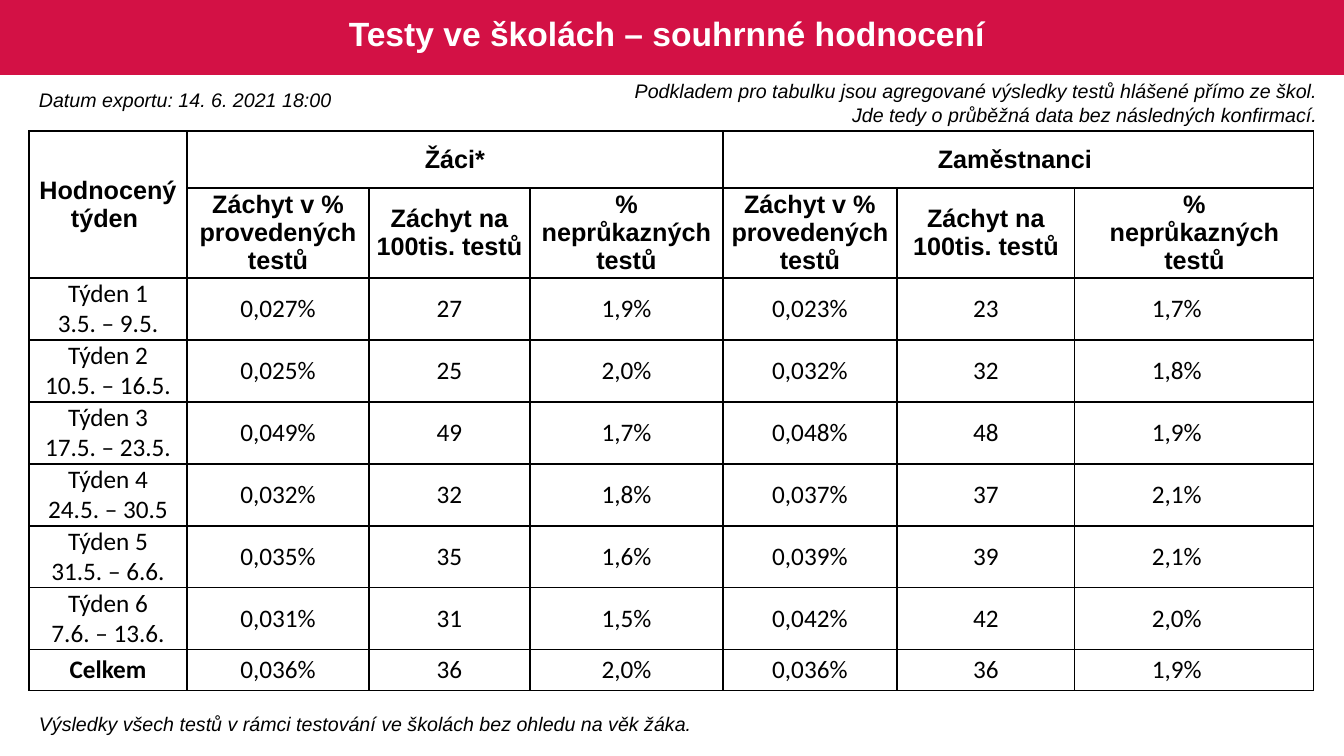
from dataclasses import dataclass

from lxml import etree
from pptx import Presentation, util as u
from pptx.dml.color import RGBColor
from pptx.enum import shapes, text
from pptx.oxml.ns import qn

EMU_PER_PX = 914400 / 100.8
CRIMSON = RGBColor(0xD3, 0x11, 0x45)
WHITE = RGBColor(0xFF, 0xFF, 0xFF)
BLACK = RGBColor(0x00, 0x00, 0x00)
CENTER, LEFT, RIGHT = text.PP_ALIGN.CENTER, text.PP_ALIGN.LEFT, text.PP_ALIGN.RIGHT

TITLE_FONT = {"name": "Arial", "size": u.Pt(24), "bold": True}
NOTE_FONT = {"name": "Arial", "size": u.Pt(14), "italic": True}
HEADER_FONT = {"name": "Arial", "size": u.Pt(18), "bold": True}
DATA_FONT = {"name": "Calibri", "size": u.Pt(18), "bold": False}
TOTAL_FONT = DATA_FONT | {"bold": True}


@dataclass
class Note:
    box: tuple[int, int, int, int]
    lines: str
    align: text.PP_ALIGN = LEFT
    wrap: bool = True


@dataclass
class Header:
    row: int
    col: int
    label: str
    rows: int = 1
    cols: int = 1


NOTES = [
    Note((29, 83, 315, 34), "Datum exportu: 14. 6. 2021 18:00", wrap=False),
    Note((29, 707, 1277, 34),
         "Výsledky všech testů v rámci testování ve školách bez ohledu na věk žáka."),
    Note((575, 74, 758, 57),
         "Podkladem pro tabulku jsou agregované výsledky testů hlášené přímo ze škol. \n"
         "Jde tedy o průběžná data bez následných konfirmací. ", RIGHT),
]

HEADERS = [
    Header(0, 0, "Hodnocený týden ", rows=2),
    Header(0, 1, "Žáci*", cols=3),
    Header(0, 4, "Zaměstnanci ", cols=4),
    Header(1, 1, "Záchyt v % provedených testů"),
    Header(1, 2, "Záchyt na 100tis. testů"),
    Header(1, 3, "% neprůkazných testů"),
    Header(1, 4, "Záchyt v % provedených testů"),
    Header(1, 5, "Záchyt na 100tis. testů"),
    Header(1, 6, "%\nneprůkazných testů", cols=2),
]

RESULTS = [
    ("Týden 1\n3.5. – 9.5.", "0,027%", "27", "1,9%", "0,023%", "23", "1,7%"),
    ("Týden 2\n10.5. – 16.5.", "0,025%", "25", "2,0%", "0,032%", "32", "1,8%"),
    ("Týden 3\n17.5. – 23.5.", "0,049%", "49", "1,7%", "0,048%", "48", "1,9%"),
    ("Týden 4\n24.5. – 30.5", "0,032%", "32", "1,8%", "0,037%", "37", "2,1%"),
    ("Týden 5\n31.5. – 6.6.", "0,035%", "35", "1,6%", "0,039%", "39", "2,1%"),
    ("Týden 6\n7.6. – 13.6.", "0,031%", "31", "1,5%", "0,042%", "42", "2,0%"),
    ("Celkem", "0,036%", "36", "2,0%", "0,036%", "36", "1,9%"),
]

COL_WIDTHS = [158, 182, 161, 193, 174, 178, 204, 35]
ROW_HEIGHTS = [57, 90] + [62] * 6 + [40]
HEADER_ROWS = 2
SPARE_COL = len(COL_WIDTHS) - 1


def px(n: int) -> u.Emu:
    return u.Emu(round(n * EMU_PER_PX))


def write(tf, lines: str, font: dict, color: RGBColor, align: text.PP_ALIGN) -> None:
    tf.text = lines
    for p in tf.paragraphs:
        p.alignment = align
        for r in p.runs:
            for name, value in font.items():
                setattr(r.font, name, value)
            r.font.color.rgb = color


def fill_cell(cell, lines: str, font: dict, inset: int) -> None:
    write(cell.text_frame, lines, font, BLACK, CENTER)
    cell.vertical_anchor = text.MSO_ANCHOR.MIDDLE
    for side in ("left", "right"):
        setattr(cell, f"margin_{side}", px(inset))
    cell.margin_top = cell.margin_bottom = 0


def set_borders(cell, widths: dict[str, float]) -> None:
    """Draw each side (L, R, T, B) at its width in points; 0 means no line."""
    tc_pr = cell._tc.get_or_add_tcPr()
    for i, (side, width) in enumerate(widths.items()):
        ln = etree.Element(qn(f"a:ln{side}"), w=str(u.Pt(width)))
        if width:
            fill = etree.SubElement(ln, qn("a:solidFill"))
            etree.SubElement(fill, qn("a:srgbClr"), val=str(BLACK))
        else:
            etree.SubElement(ln, qn("a:noFill"))
        tc_pr.insert(i, ln)


def add_title(slide) -> None:
    bar = slide.shapes.add_shape(shapes.MSO_SHAPE.RECTANGLE, 0, 0, px(1344), px(75))
    bar.shadow.inherit = False
    bar.fill.solid()
    bar.fill.fore_color.rgb = CRIMSON
    bar.line.fill.background()
    title = slide.shapes.title
    title._element.addprevious(bar._element)
    title.left, title.top, title.width, title.height = map(px, (18, 4, 1307, 64))
    tf = title.text_frame
    write(tf, "Testy ve školách – souhrnné hodnocení ", TITLE_FONT, WHITE, CENTER)
    tf.auto_size = text.MSO_AUTO_SIZE.NONE
    tf.vertical_anchor = text.MSO_ANCHOR.MIDDLE
    tf.paragraphs[0].line_spacing = 0.9


def add_results_table(slide) -> None:
    frame = slide.shapes.add_table(
        len(ROW_HEIGHTS), len(COL_WIDTHS), px(29), px(131),
        px(sum(COL_WIDTHS)), px(sum(ROW_HEIGHTS)))
    table = frame.table
    table.first_row = table.horz_banding = False
    for column, width in zip(table.columns, COL_WIDTHS):
        column.width = px(width)
    for row, height in zip(table.rows, ROW_HEIGHTS):
        row.height = px(height)

    for h in HEADERS:
        cell = table.cell(h.row, h.col)
        if h.rows * h.cols > 1:
            cell.merge(table.cell(h.row + h.rows - 1, h.col + h.cols - 1))
        fill_cell(cell, h.label, HEADER_FONT, 5)
    for i, values in enumerate(RESULTS, HEADER_ROWS):
        for j, value in enumerate(values):
            fill_cell(table.cell(i, j), value,
                      TOTAL_FONT if value == "Celkem" else DATA_FONT, 1)

    for i in range(len(ROW_HEIGHTS)):
        for j in range(len(COL_WIDTHS)):
            cell = table.cell(i, j)
            cell.fill.background()
            is_data = i >= HEADER_ROWS
            set_borders(cell, {
                "L": 1.5 if j == 0 else 0 if is_data and j == SPARE_COL else 1,
                "R": 0 if is_data and j == SPARE_COL - 1 else 1,
                "T": 1.5 if i == 0 else 1,
                "B": 1,
            })


def add_note(slide, note: Note) -> None:
    tf = slide.shapes.add_textbox(*map(px, note.box)).text_frame
    tf.word_wrap = note.wrap
    write(tf, note.lines, NOTE_FONT, BLACK, note.align)


def main() -> None:
    prs = Presentation()
    prs.slide_width, prs.slide_height = px(1344), px(756)
    slide = prs.slides.add_slide(prs.slide_layouts.get_by_name("Title Only"))
    add_title(slide)
    add_results_table(slide)
    for note in NOTES:
        add_note(slide, note)
    prs.save("out.pptx")


if __name__ == "__main__":
    main()
